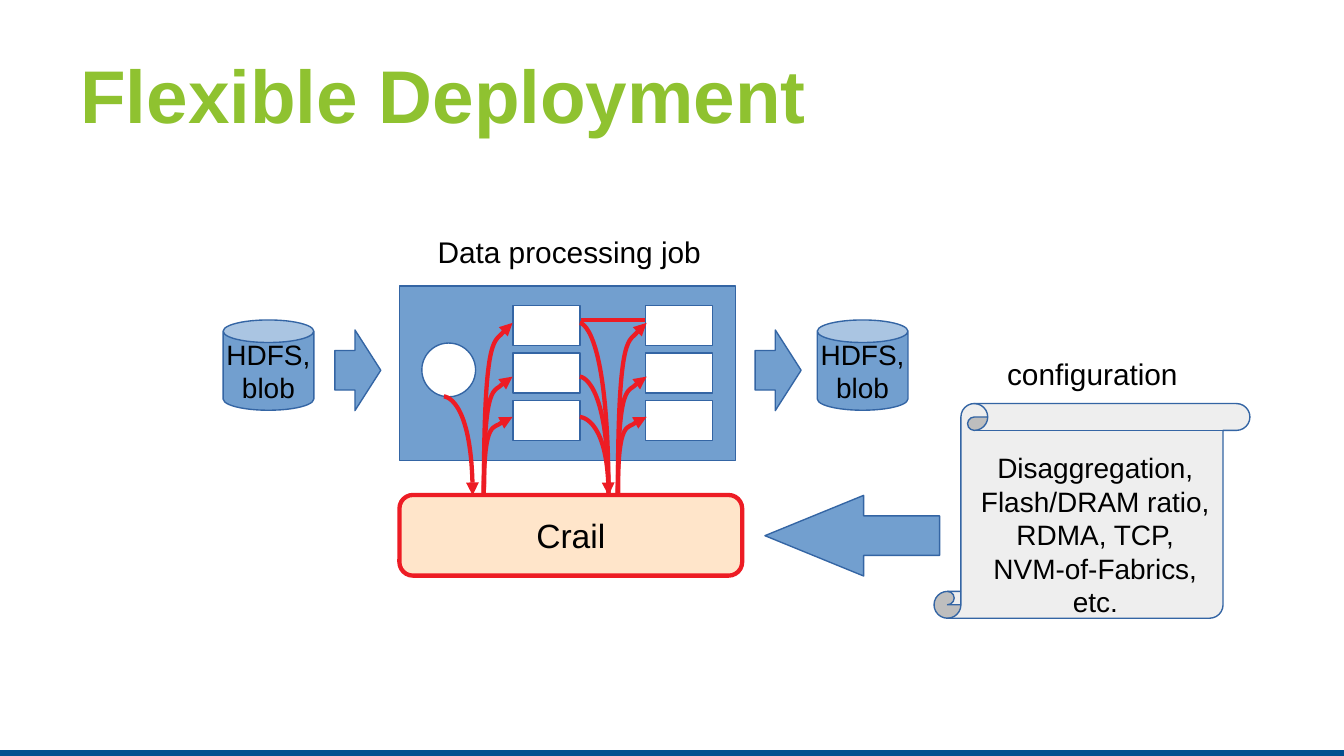
import pptx
import pptx.dml.color
import pptx.enum.shapes
import pptx.enum.text
import pptx.oxml.ns
import pptx.util
from lxml import etree

Pt = pptx.util.Pt
qn = pptx.oxml.ns.qn
SHAPES = pptx.enum.shapes.MSO_SHAPE
ALIGN = pptx.enum.text.PP_ALIGN
ANCHOR = pptx.enum.text.MSO_ANCHOR


def color(hex_string):
    return pptx.dml.color.RGBColor.from_string(hex_string)


class SlideBuilder:
    """Holds the style and the current slide."""
    font = "Arial"
    black, white, green, navy = "000000", "FFFFFF", "8FC230", "00508F"
    blue, outline, red = "729FCF", "3465A4", "ED1C24"
    cream, gray = "FFE5CA", "EEEEEE"
    hairline, stroke = 0, 2.3

    def __init__(self, slide):
        self.slide = slide

    def set_line(self, shape, line, width):
        if line is None:
            shape.line.fill.background()
            return
        shape.line.color.rgb = color(line)
        shape.line.width = Pt(width)

    def set_text(self, shape, lines, size, ink=black, bold=False, align=ALIGN.CENTER,
                 anchor=ANCHOR.TOP, wrap=True, margins=(7.2, 3.6)):
        frame = shape.text_frame
        across, down = (Pt(margin) for margin in margins)
        frame_format = {
            "word_wrap": wrap, "vertical_anchor": anchor,
            "margin_left": across, "margin_right": across,
            "margin_top": down, "margin_bottom": down,
        }
        for name, value in frame_format.items():
            setattr(frame, name, value)
        frame.text = "\n".join(lines)
        font_format = {"name": self.font, "size": Pt(size), "bold": bold}
        for paragraph in frame.paragraphs:
            paragraph.alignment = align
            for name, value in font_format.items():
                setattr(paragraph.font, name, value)
            paragraph.font.color.rgb = color(ink)

    def text(self, box, lines, size, **text_format):
        shape = self.slide.shapes.add_textbox(*map(Pt, box))
        self.set_text(shape, lines, size, **text_format)

    def shape(self, kind, box, fill=blue, line=outline, width=hairline, adjustments=()):
        shape = self.slide.shapes.add_shape(kind, *map(Pt, box))
        shape.shadow.inherit = False
        shape.fill.solid()
        shape.fill.fore_color.rgb = color(fill)
        self.set_line(shape, line, width)
        for index, value in enumerate(adjustments):
            shape.adjustments[index] = value
        return shape

    def curve(self, start, end, arrow=None):
        """Curve that leaves start vertically and reaches end horizontally.

        arrow is "headEnd" (at start), "tailEnd" (at end) or None.
        """
        corner = (start[0], end[1])
        builder = self.slide.shapes.build_freeform(*map(Pt, start))
        builder.add_line_segments(
            [tuple(map(Pt, point)) for point in (corner, end, end)], close=False)
        shape = builder.convert_to_shape()
        shape.shadow.inherit = False
        shape.fill.background()
        self.set_line(shape, self.red, self.stroke)
        # Turn the three segments into one cubic Bézier
        outline_path = next(shape.element.iter(qn("a:path")))
        bezier = etree.SubElement(outline_path, qn("a:cubicBezTo"))
        for segment in outline_path.findall(qn("a:lnTo")):
            bezier.append(segment[0])
            outline_path.remove(segment)
        if arrow:
            line = shape.element.spPr.find(qn("a:ln"))
            etree.SubElement(line, qn("a:" + arrow), type="triangle")

    def line(self, start, end):
        connector = self.slide.shapes.add_connector(
            pptx.enum.shapes.MSO_CONNECTOR.STRAIGHT, *map(Pt, start + end))
        self.set_line(connector, self.red, self.stroke)
        etree.SubElement(connector.element.spPr, qn("a:effectLst"))


def main():
    presentation = pptx.Presentation()
    presentation.slide_width, presentation.slide_height = Pt(720), Pt(405)
    page = SlideBuilder(presentation.slides.add_slide(presentation.slide_layouts[6]))

    # Footer bar and title
    page.shape(SHAPES.RECTANGLE, (0, 401.8, 720, 3.2), fill=page.navy, line=None)
    page.text((36, 16.6, 648, 67.6), ["Flexible Deployment"], 40, ink=page.green,
              bold=True, align=ALIGN.LEFT, anchor=ANCHOR.MIDDLE)

    # Job with its driver and two stages of tasks
    page.shape(SHAPES.RECTANGLE, (214, 153.2, 180, 93.6))
    page.shape(SHAPES.OVAL, (226, 183.8, 28.8, 28.8), fill=page.white)
    for left in (274.8, 345.8):
        for row in range(3):
            page.shape(SHAPES.RECTANGLE, (left, 163.6 + 25.5 * row, 36, 21.4),
                       fill=page.white)

    # Storage layer
    store = page.shape(SHAPES.ROUNDED_RECTANGLE, (214, 265.2, 183.6, 43.2),
                       fill=page.cream, line=page.red, width=page.stroke,
                       adjustments=[0.167])
    page.set_text(store, ["Crail"], 18, anchor=ANCHOR.MIDDLE, wrap=False)

    # Data flow: reads by each stage, writes by the first stage and the driver
    task_heights = (173, 201.8, 223.4)
    for start_x, end_x in ((259.2, 274.6), (331, 346.4)):
        for height in task_heights:
            page.curve((start_x, 265), (end_x, height), "tailEnd")
    for height in task_heights:
        arrow = "headEnd" if height == task_heights[-1] else None
        page.curve((326, 265.4), (310.6, height), arrow)
    page.curve((253.2, 265.4), (237.8, 212.4), "headEnd")
    page.line((345.6, 171.4), (311, 171.4))

    # External input and output
    for arrow_left, can_left in ((179.4, 119.5), (404.6, 437.8)):
        page.shape(SHAPES.RIGHT_ARROW, (arrow_left, 176.8, 24.6, 43.2),
                   adjustments=[0.49, 0.562])
        can = page.shape(SHAPES.CAN, (can_left, 171.4, 48.6, 48.4), adjustments=[0.25])
        page.set_text(can, ["HDFS,", "blob"], 15, anchor=ANCHOR.MIDDLE, wrap=False)

    # Configuration scroll
    page.shape(SHAPES.VERTICAL_SCROLL, (500.4, 216.2, 169.2, 115), fill=page.gray,
               adjustments=[0.125])
    page.shape(SHAPES.LEFT_ARROW, (409.8, 265.4, 93.6, 43.2),
               adjustments=[0.49, 1.224])
    page.text((518.4, 237.8, 136.8, 90.6),
              ["Disaggregation,", "Flash/DRAM ratio,", "RDMA, TCP,",
               "NVM-of-Fabrics,", "etc."], 15, wrap=False)

    # Captions
    page.text((215, 121.8, 180, 28), ["Data processing job"], 16)
    page.text((515.4, 187.2, 139.6, 28.8), ["configuration"], 16)

    presentation.save("out.pptx")


if __name__ == "__main__":
    main()
